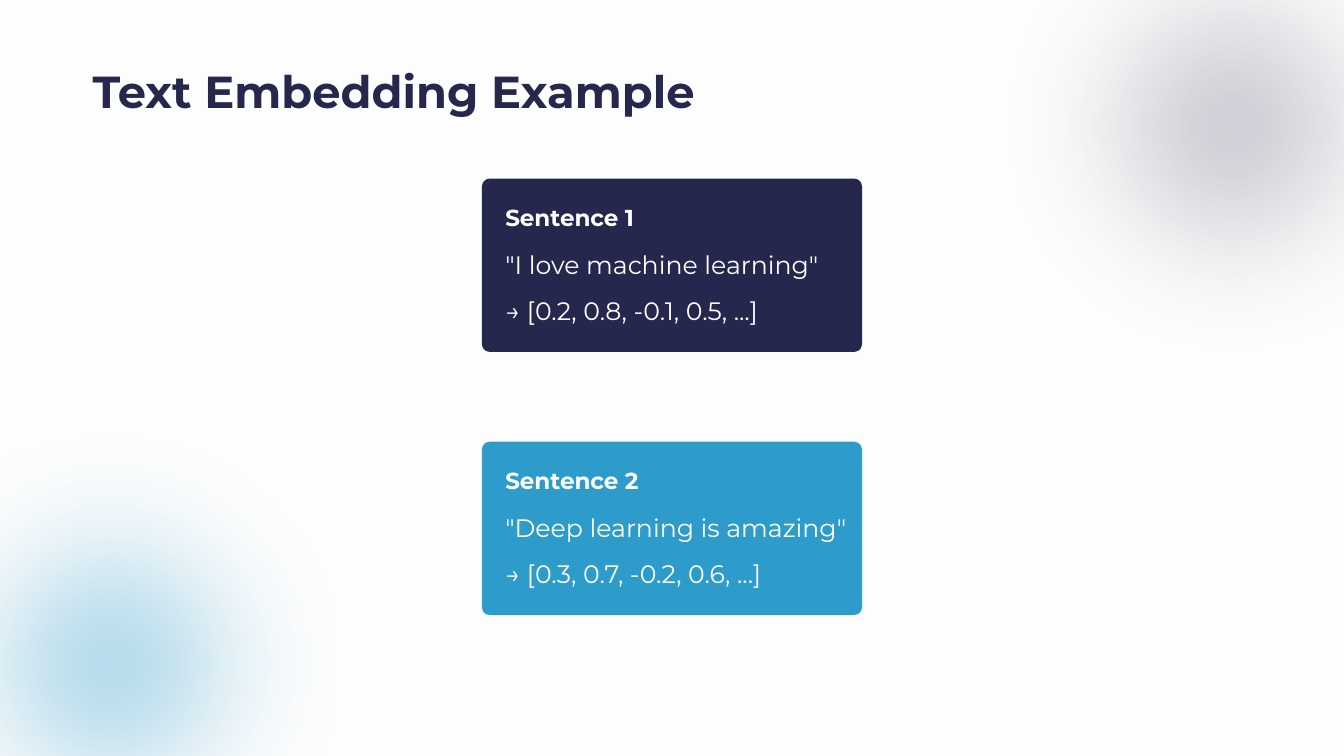
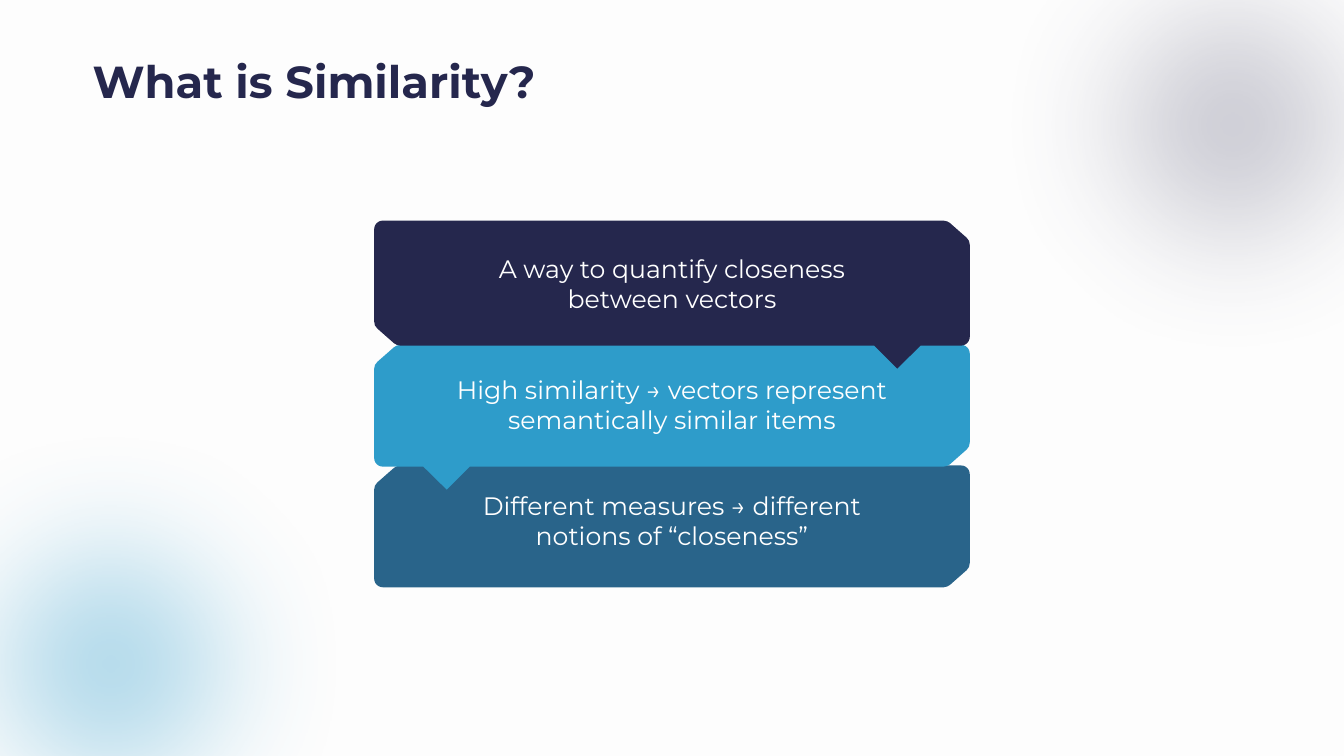
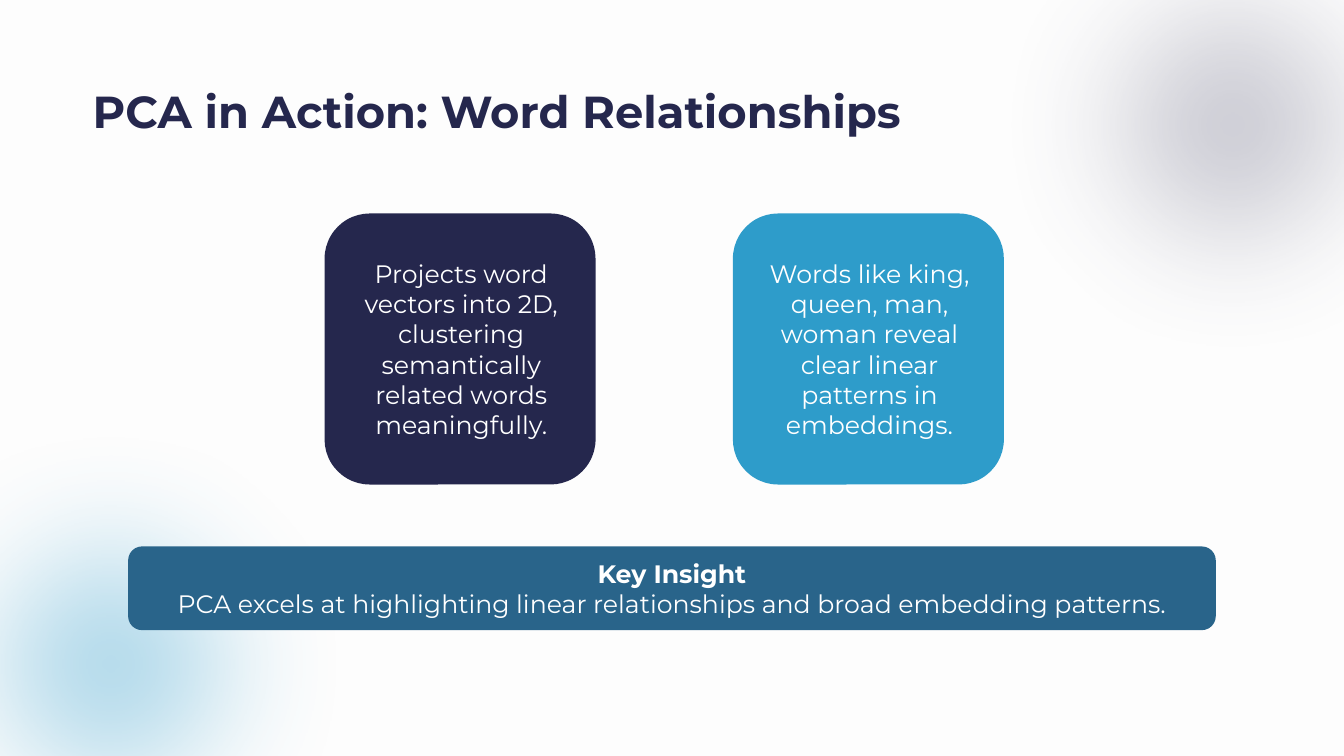
"""Builds three slides on text embeddings, similarity and PCA."""
from math import cos, radians, sin

from lxml import etree
from pptx import Presentation
from pptx.dml.color import RGBColor
from pptx.enum.shapes import MSO_SHAPE as SHAPE
from pptx.enum.text import MSO_ANCHOR as ANCHOR, MSO_AUTO_SIZE as AUTO, PP_ALIGN as ALIGN
from pptx.oxml.ns import qn
from pptx.util import Cm, Pt

NAVY = RGBColor(0x25, 0x27, 0x4D)
BLUE = RGBColor(0x2E, 0x9C, 0xCA)
TEAL = RGBColor(0x29, 0x64, 0x8A)
SLATE = RGBColor(0x46, 0x48, 0x66)
WHITE = RGBColor(0xFF, 0xFF, 0xFF)
PAPER = RGBColor(0xFD, 0xFD, 0xFD)
FONT = "Montserrat"
SLIDE_W, SLIDE_H = 33.87, 19.05


def add_text(sp, text, size=18, bold=False, color=WHITE, align=ALIGN.CENTER,
             anchor=ANCHOR.MIDDLE, spacing=None, wrap=True, inset=None):
    tf = sp.text_frame
    p = tf.add_paragraph() if tf.text else tf.paragraphs[0]
    tf.auto_size = AUTO.NONE
    tf.word_wrap = wrap
    tf.vertical_anchor = anchor
    if inset is not None:
        tf.margin_left = tf.margin_right = tf.margin_top = tf.margin_bottom = inset
    p.alignment = align
    if spacing is not None:
        p.line_spacing = spacing
    r = p.add_run()
    r.text = text
    r.font.name = FONT
    r.font.size = Pt(size)
    r.font.bold = bold
    r.font.color.rgb = color


def add_panel(s, kind, x, y, w, h, color):
    sp = s.shapes.add_shape(kind, Cm(x), Cm(y), Cm(w), Cm(h))
    sp.shadow.inherit = False
    sp.fill.solid()
    sp.fill.fore_color.rgb = color
    sp.line.fill.background()
    return sp


prs = Presentation()
prs.slide_width, prs.slide_height = Cm(SLIDE_W), Cm(SLIDE_H)
fill = prs.slide_master.background.fill
fill.solid()
fill.fore_color.rgb = PAPER
layout = prs.slide_layouts[5]
title = layout.placeholders[0]
title.left, title.top, title.width, title.height = Cm(2.08), Cm(1.37), Cm(29.51), Cm(1.5)

slides = []
for text, spacing in [("Text Embedding Example", Pt(41.5)),
                      ("What is Similarity?", 0.9),
                      ("PCA in Action: Word Relationships", Pt(55.5))]:
    s = prs.slides.add_slide(layout)
    add_text(s.shapes.title, text, size=32, bold=True, color=NAVY, align=ALIGN.LEFT,
             anchor=ANCHOR.TOP, spacing=spacing)
    slides.append(s)
embedding, similarity, pca = slides

for i, (x, y, color, alpha) in enumerate([(-4.72, 9.22, BLUE, 40), (23.55, -4.37, SLATE, 30)]):
    halo = add_panel(embedding, SHAPE.OVAL, x, y, 15.04, 15.04, color)
    el = halo._element
    clr = el.spPr.find(qn("a:solidFill")).find(qn("a:srgbClr"))
    etree.SubElement(clr, qn("a:alpha"), val=str(alpha * 1000))
    etree.SubElement(el.spPr.find(qn("a:effectLst")), qn("a:softEdge"), rad=str(Pt(100)))
    el.nvSpPr.cNvPr.set("id", str(20 + i))
    layout.shapes._spTree.insert(2 + i, el)

card_w, card_h = 9.58, 4.37
card_x = (SLIDE_W - card_w) / 2
for y, color, text_w, lines in [
    (4.5, NAVY, 6.32, ("Sentence 1", '"I love machine learning"', "→ [0.2, 0.8, -0.1, 0.5, ...]")),
    (11.13, BLUE, 7.11, ("Sentence 2", '"Deep learning is amazing"', "→ [0.3, 0.7, -0.2, 0.6, ...]")),
]:
    card = add_panel(embedding, SHAPE.ROUNDED_RECTANGLE, card_x, y, card_w, card_h, color)
    card.adjustments[0] = 0.045
    for i, (line, dy) in enumerate(zip(lines, (0.59, 1.8, 2.97))):
        head = i == 0
        tb = embedding.shapes.add_textbox(Cm(card_x + 0.59), Cm(y + dy), Cm(text_w), Cm(0.76))
        add_text(tb, line, size=16.5 if head else 18, bold=head, align=ALIGN.LEFT,
                 anchor=ANCHOR.TOP, spacing=Pt(20.5 if head else 21), wrap=False, inset=0)

band_w, radius = 15.01, 0.22
band_x = (SLIDE_W - band_w) / 2
chamfer = [(0.66, 0), (0.57, 0.02), (0.5, 0.06), (0.08, 0.43), (0.02, 0.51), (0, 0.61)]
for y, h, color, tail, mirrored, text_y, text_w, text in [
    (11.73, 3.07, TEAL, False, False, 12.22, 10.9,
     "Different measures → different notions of “closeness”"),
    (8.69, 3.07, BLUE, True, False, 9.3, 12.12,
     "High similarity → vectors represent semantically similar items"),
    (5.56, 3.15, NAVY, True, True, 6.25, 9.25,
     "A way to quantify closeness between vectors"),
]:
    arc = [(radius * (1 - cos(radians(a))), h - radius * (1 - sin(radians(a))))
           for a in range(0, 91, 15)]
    half = chamfer + arc
    pointer = [(1.24, h), (1.83, h + 0.58), (2.41, h)] if tail else []
    outline = half + pointer + [(band_w - px, h - py) for px, py in half]
    if mirrored:
        outline = [(band_w - px, py) for px, py in outline]
    points = [(Cm(band_x + px), Cm(y + py)) for px, py in outline]
    fb = similarity.shapes.build_freeform(*points[0])
    fb.add_line_segments(points[1:], close=True)
    band = fb.convert_to_shape()
    band.shadow.inherit = False
    band.fill.solid()
    band.fill.fore_color.rgb = color
    band.line.fill.background()
    tb = similarity.shapes.add_textbox(Cm((SLIDE_W - text_w) / 2), Cm(text_y), Cm(text_w), Cm(1.8))
    add_text(tb, text)

bar_w = 27.41
bar = add_panel(pca, SHAPE.ROUNDED_RECTANGLE, (SLIDE_W - bar_w) / 2, 13.77, bar_w, 2.11, TEAL)
add_text(bar, "Key Insight", bold=True)
add_text(bar, "PCA excels at highlighting linear relationships and broad embedding patterns.")

for x, color, text in [
    (8.18, NAVY, "Projects word vectors into 2D, clustering semantically related words meaningfully."),
    (18.47, BLUE, "Words like king, queen, man, woman reveal clear linear patterns in embeddings."),
]:
    add_panel(pca, SHAPE.ROUNDED_RECTANGLE, x, 5.38, 6.83, 6.83, color)
    tb = pca.shapes.add_textbox(Cm(x + 0.5), Cm(6.38), Cm(5.89), Cm(4.88))
    add_text(tb, text, anchor=ANCHOR.TOP)

prs.save("out.pptx")
